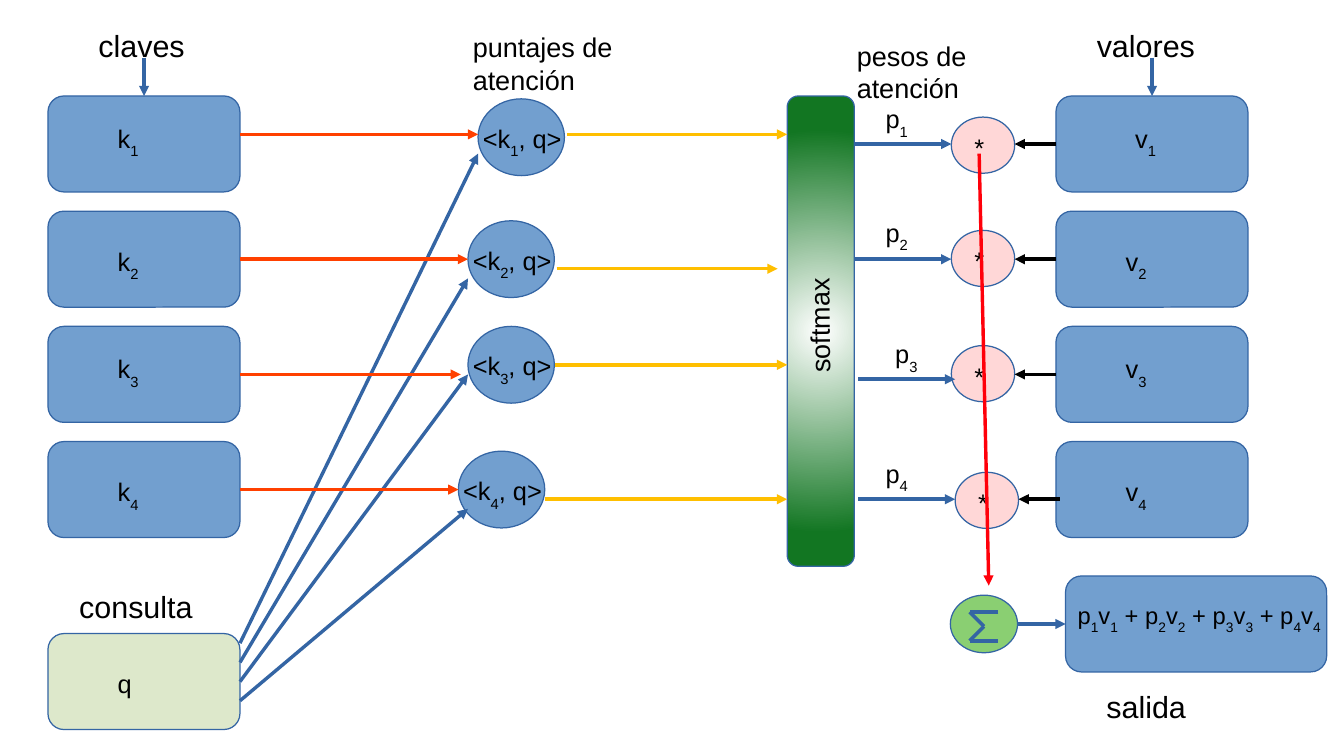
from itertools import pairwise

from lxml import etree
from pptx import Presentation
from pptx.dml.color import RGBColor
from pptx.enum.shapes import MSO_CONNECTOR, MSO_SHAPE
from pptx.oxml.ns import qn
from pptx.util import Cm, Pt

ROUNDED, OVAL = MSO_SHAPE.ROUNDED_RECTANGLE, MSO_SHAPE.OVAL
BLUE, NAVY, ORANGE, AMBER = "729FCF", "3465A4", "FF4000", "FFBF00"
BLACK, WHITE, RED, PINK = "000000", "FFFFFF", "FF000A", "FFD7D7"
GREEN, LIME, PALE = "127622", "8ACF72", "DDE8CB"
TOP, LEFT, RIGHT = 0, 1, 3  # connection sites
CARD_W, CARD_H, PITCH = 4, 2, 2.4
LABEL_DROPS = (0.44, 3, 5.24, 7.8)


def color(code):
    return RGBColor.from_string(code)


def node(slide, kind, left, top, width, height, fill):
    shape = slide.shapes.add_shape(kind, Cm(left), Cm(top), Cm(width), Cm(height))
    shape.shadow.inherit = False
    shape.fill.solid()
    shape.fill.fore_color.rgb = color(fill)
    shape.line.color.rgb = color(NAVY)
    shape.line.width = Pt(0)
    return shape


def link(slide, start, end, tint=NAVY, source=None, target=None, head=True):
    """Line between two points, joined to (shape, site) pairs when given."""
    line = slide.shapes.add_connector(
        MSO_CONNECTOR.STRAIGHT, *(Cm(value) for value in (*start, *end)))
    if source:
        line.begin_connect(*source)
    if target:
        line.end_connect(*target)
    line.line.color.rgb = color(tint)
    line.line.width = Pt(0)
    if head:
        outline = line.line._get_or_add_ln()
        etree.SubElement(outline, qn("a:tailEnd"), type="triangle")
    etree.SubElement(line._element.spPr, qn("a:effectLst"))


def label(slide, left, top, width, height, *pieces, size=15):
    """Text whose every second piece is a subscript."""
    box = slide.shapes.add_textbox(Cm(left), Cm(top), Cm(width), Cm(height))
    box.text_frame.word_wrap = True
    paragraph = box.text_frame.paragraphs[0]
    for index, piece in enumerate(pieces):
        run = paragraph.add_run()
        run.text = piece
        run.font.name = "Arial"
        run.font.size = Pt(size)
        run.font.color.rgb = color(BLACK)
        if index % 2:
            run._r.get_or_add_rPr().set("baseline", "-33000")
    return box


def card_column(slide, left, top, letter, shifts, heading, heading_left):
    """Heading, arrow and four numbered cards."""
    cards = []
    for row, (drop, shift) in enumerate(zip(LABEL_DROPS, shifts)):
        cards.append(node(slide, ROUNDED, left, top + row * PITCH, CARD_W, CARD_H, BLUE))
        label(slide, left + shift, top + drop, 1.2, 0.97, letter, str(row + 1))
    label(slide, left + heading_left, top - 1.57, 2.8, 0.97, heading, size=18)
    middle = left + CARD_W / 2
    link(slide, (middle, top - 0.8), (middle, top), target=(cards[0], TOP))
    return cards


def query_card(slide, left, top):
    node(slide, ROUNDED, left, top, CARD_W, CARD_H, PALE)
    label(slide, left + 1.2, top + 0.6, 1.2, 0.97, "q")
    label(slide, left + 0.4, top - 1.08, 3, 1.68, "consulta", size=18)


def attention_scores(slide, left, top, keys, key_edge, query_top, softmax_left):
    """Score ovals with arrows from the keys and query and on to softmax."""
    # oval x, oval y, key arrow (y, end x), query arrow end, softmax arrow (x, y, gap)
    rows = [
        (0.41, 0.06, (0.8, 0.41), (0.41, 1.2), (2.26, 0.8, 0)),
        (0.2, 2.6, (3.4, 0.2), (0.2, 3.8), (2.05, 3.6, 0.2)),
        (0.2, 4.8, (5.8, 0.05), (0.2, 5.8), (2.01, 5.6, 0)),
        (0, 7.4, (8.2, 0), (0.2, 8.6), (1.81, 8.4, 0)),
    ]
    for row, (x, y, (key_y, key_x), (query_x, query_y), (out_x, out_y, gap)) in enumerate(rows):
        node(slide, OVAL, left + x, top + y, 1.8, 1.6, BLUE)
        label(slide, left + x - 0.15, top + y + 0.38, 2.4, 0.97, "<k", str(row + 1), ", q>")
        link(slide, (key_edge, query_top + 0.2 + row * 0.4), (left + query_x, top + query_y))
        link(slide, (key_edge, top + key_y), (left + key_x, top + key_y), ORANGE,
             source=(keys[row], RIGHT) if row else None)
        link(slide, (left + out_x, top + out_y), (softmax_left - gap, top + out_y), AMBER)
    label(slide, left + 0.05, top - 1.49, 3.81, 1.5, "puntajes de atención", size=16)


def softmax_bar(slide, left, top, width, height):
    bar = node(slide, ROUNDED, left, top, width, height, GREEN)
    bar.fill.gradient()
    for stop, (position, tint) in zip(bar.fill.gradient_stops, ((0, WHITE), (0.85, GREEN))):
        stop.position = position
        stop.color.rgb = color(tint)
    # Radial gradient from the centre
    linear = bar._element.spPr.find(".//" + qn("a:lin"))
    radial = etree.Element(qn("a:path"), path="circle")
    etree.SubElement(radial, qn("a:fillToRect"), l="50000", t="50000", r="50000", b="50000")
    linear.getparent().replace(linear, radial)
    name = label(slide, left + width / 2 - 1.3, top + height / 2 - 0.68, 2.6, 1, "softmax", size=16)
    name.rotation = 269.5


def attention_weights(slide, left, top, values, value_edge):
    """Weights p and the products with each value."""
    # product x, product y, weight arrow (x, y), weight label (x, y)
    rows = [
        (2.02, 0.44, (0, 1), (0.4, 0.03)),
        (2.02, 2.8, (0, 3.4), (0.4, 2.4)),
        (2.02, 5.2, (0.08, 5.9), (0.6, 4.93)),
        (2.1, 7.84, (0.08, 8.4), (0.4, 7.42)),
    ]
    for row, (x, y, (in_x, in_y), (text_x, text_y)) in enumerate(rows):
        last = row == len(rows) - 1
        value_y = top + (8.4 if last else 1 + row * PITCH)
        node(slide, OVAL, left + x, top + y, 1.32, 1.17, PINK)
        label(slide, left + x + 0.23, top + y + 0.19, 0.8, 0.84, "*")
        link(slide, (left + in_x, top + in_y), (left + (2.1 if row > 1 else 2.02), top + in_y))
        link(slide, (value_edge + (0.08 if last else 0), value_y),
             (left + x + 1.32, value_y), BLACK,
             source=None if last else (values[row], LEFT))
        label(slide, left + text_x, top + text_y, 1.2, 0.97, "p", str(row + 1))
    label(slide, left - 0.2, top - 1.31, 3.81, 1.5, "pesos de atención", size=16)
    link(slide, (left + 2.6, top + 1.2), (left + 2.8, top + 10.2), RED)


def weighted_sum(slide, left, top):
    """Sum sign and the output card."""
    node(slide, OVAL, left, top + 0.4, 1.4, 1.2, LIME)
    sigma = [(1, 0.75), (0.4, 0.75), (0.7, 1.05), (0.4, 1.35), (1, 1.35)]
    for start, end in pairwise((left + x, top + y) for x, y in sigma):
        link(slide, start, end, head=False)
    card_left = left + 2.4
    output = node(slide, ROUNDED, card_left, top, 5.44, CARD_H, BLUE)
    terms = ["p", "1", "v", "1"]
    for index in "234":
        terms += [" + p", index, "v", index]
    label(slide, card_left, top + 0.4, 5.75, 0.91, *terms, size=14)
    link(slide, (left + 1.4, top + 1), (card_left, top + 1), target=(output, LEFT))
    label(slide, card_left + 0.6, top + 2.2, 3, 1.5, "salida", size=18)


def main():
    deck = Presentation()
    deck.slide_width, deck.slide_height = Cm(28), Cm(15.75)
    slide = deck.slides.add_slide(deck.slide_layouts[6])
    top, query_top, softmax_left, values_left = 2, 13.2, 16.4, 22
    keys = card_column(slide, 1, top, "k", [1.2] * 4, "claves", 0.8)
    values = card_column(slide, values_left, top, "v", [1.4, 1.2, 1.2, 1.2], "valores", 0.6)
    query_card(slide, 1, query_top)
    softmax_bar(slide, softmax_left, top, 1.4, 9.8)
    attention_scores(slide, 9.55, top, keys, 1 + CARD_W, query_top, softmax_left)
    attention_weights(slide, softmax_left + 1.4, top, values, values_left)
    weighted_sum(slide, 19.8, 12)
    deck.save("out.pptx")


if __name__ == "__main__":
    main()
